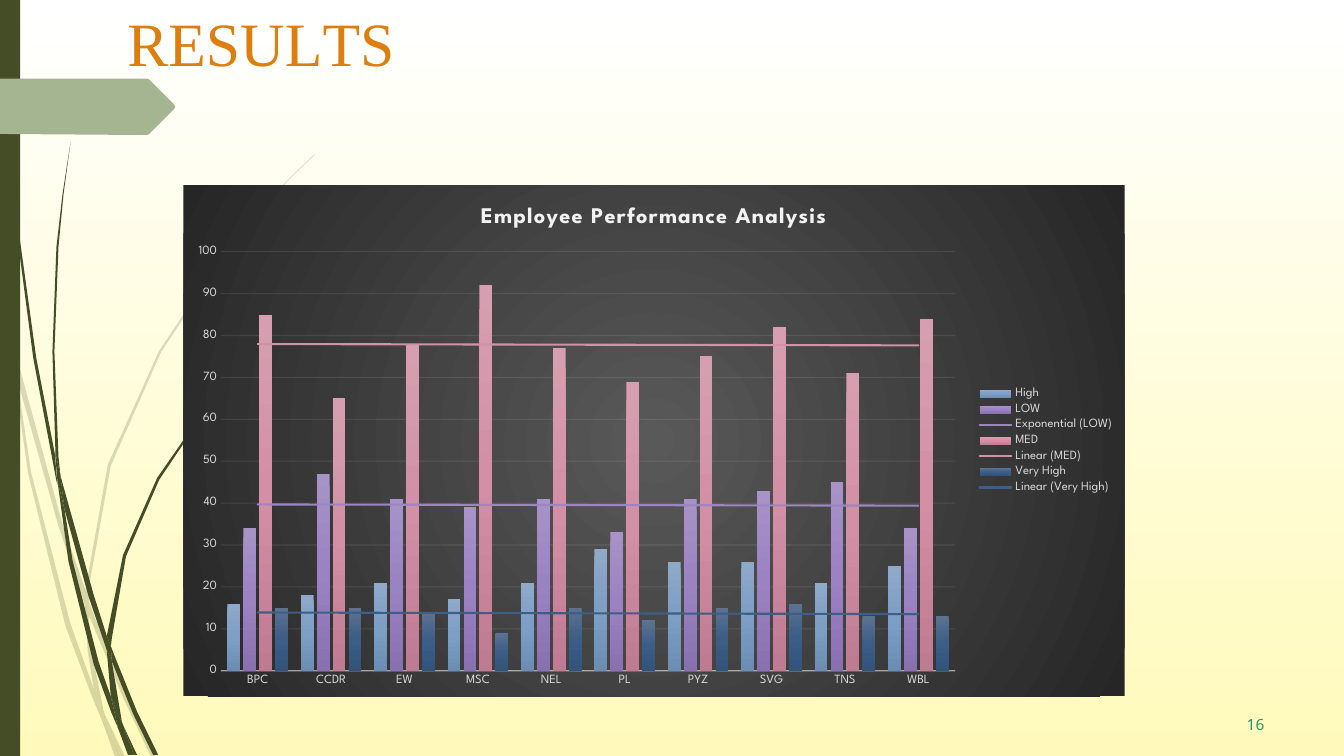
from lxml import etree
from pptx import Presentation
from pptx.chart.data import CategoryChartData
from pptx.dml.color import RGBColor
from pptx.enum.chart import XL_CHART_TYPE, XL_LEGEND_POSITION, XL_TICK_MARK
from pptx.enum.shapes import MSO_SHAPE
from pptx.enum.text import MSO_ANCHOR
from pptx.oxml import parse_xml
from pptx.oxml.ns import nsdecls, qn
from pptx.util import Cm, Pt

COLUMN_CLUSTERED = XL_CHART_TYPE.COLUMN_CLUSTERED
LEGEND_RIGHT = XL_LEGEND_POSITION.RIGHT
TICK_NONE = XL_TICK_MARK.NONE
RECTANGLE = MSO_SHAPE.RECTANGLE
TOP, BOTTOM = MSO_ANCHOR.TOP, MSO_ANCHOR.BOTTOM

WHITE = RGBColor(0xFF, 0xFF, 0xFF)
CREAM = RGBColor(0xFF, 0xFA, 0xBB)
OLIVE = RGBColor(0x44, 0x4D, 0x26)
SAGE = RGBColor(0xA5, 0xB5, 0x92)
ORANGE = RGBColor(0xDD, 0x7E, 0x0E)
TEAL = RGBColor(0x2D, 0x93, 0x6B)
OFF_WHITE = RGBColor(0xF2, 0xF2, 0xF2)
LIGHT_GRAY = RGBColor(0xD9, 0xD9, 0xD9)
CHART_CENTER = RGBColor(0x59, 0x59, 0x59)
CHART_EDGE = RGBColor(0x26, 0x26, 0x26)

CHART_FONT = "League Spartan"
OUTLINE_UNIT = Cm(0.0254)
LINEAR_DOWN = '<a:lin ang="5400000" scaled="0"/>'
FROM_CENTER = '<a:path path="circle"><a:fillToRect l="50000" t="50000" r="50000" b="50000"/></a:path>'

PALE_WISPS = [
    [(11, 350), (9, 322), (0, 282), (0, 299), (10, 344)],
    [(58, 522), (84, 599), (85, 586), (62, 520), (14, 345), (17, 376)],
    [(92, 607), (88, 596), (88, 610), (123, 694), (150, 751), (155, 751), (127, 692)],
    [(119, 751), (124, 751), (105, 711)],
    [(93, 683), (70, 619), (31, 469), (17, 376), (11, 350), (28, 470), (65, 621), (92, 693),
     (101, 714), (99, 707)],
    [(84, 599), (87, 646), (93, 683), (96, 692), (105, 711), (103, 706), (91, 646), (88, 610),
     (88, 608)],
    [(88, 584), (110, 462), (160, 349), (229, 245), (268, 198), (290, 175), (312, 154), (312, 153),
     (289, 175), (268, 197), (228, 244), (158, 348), (107, 461), (85, 584), (85, 586), (88, 596)],
    [(101, 714), (114, 751), (119, 751)],
    [(88, 608), (88, 610), (88, 596), (85, 586), (84, 599)],
    [(96, 692), (93, 683), (99, 707), (101, 714), (119, 751), (105, 711)],
]
DARK_WISPS = [
    [(7, 110), (17, 233), (33, 355), (56, 477), (57, 481), (55, 457), (55, 453), (36, 355),
     (19, 232), (8, 109), (5, 48), (4, 0), (3, 0), (4, 48)],
    [(88, 592), (106, 645), (106, 633), (106, 631), (93, 590), (60, 472), (64, 505)],
    [(113, 649), (110, 641), (111, 656), (132, 708), (152, 749), (157, 749), (136, 706)],
    [(110, 691), (98, 657), (72, 556), (64, 505), (57, 477), (68, 557), (93, 659), (111, 708),
     (117, 722), (116, 717)],
    [(60, 472), (58, 453), (54, 349), (58, 245), (63, 193), (70, 141), (62, 193), (56, 245),
     (52, 349), (55, 449)],
    [(133, 749), (136, 749), (122, 719)],
    [(57, 477), (64, 505), (60, 472), (55, 449), (55, 453)],
    [(111, 633), (125, 552), (158, 476), (205, 406), (231, 374), (245, 359), (261, 344), (260, 344),
     (245, 358), (231, 373), (204, 405), (156, 474), (122, 551), (106, 631), (110, 641)],
    [(117, 722), (127, 749), (131, 749)],
    [(106, 645), (110, 691), (116, 706), (122, 719), (121, 716), (111, 656), (109, 651)],
    [(106, 645), (109, 651), (111, 656), (110, 641), (106, 631), (106, 633)],
    [(116, 706), (110, 691), (116, 717), (117, 722), (130, 749), (133, 749), (122, 719)],
]
PAGE_ARROW = [(173, 30), (148, 55), (146, 56), (136, 56), (0, 55), (0, 0), (136, 0), (146, 0),
              (148, 1), (173, 26), (174, 28)]

CATEGORIES = ["BPC", "CCDR", "EW", "MSC", "NEL", "PL", "PYZ", "SVG", "TNS", "WBL"]
SERIES = [
    ("High", [16, 18, 21, 17, 21, 29, 26, 26, 21, 25], ("8FA9C9", "7D9EC5", "6B8CB3"), None),
    ("LOW", [34, 47, 41, 39, 41, 33, 41, 43, 45, 34], ("A793C7", "9B82C3", "8970B1"), ("exp", "9C85C0")),
    ("MED", [85, 65, 78, 92, 77, 69, 75, 82, 71, 84], ("D69FB1", "D38FA6", "BF7B92"), ("linear", "D092A7")),
    ("Very High", [15, 15, 14, 9, 15, 12, 15, 16, 13, 13], ("5D7291", "3B5D86", "32537A"), ("linear", "3F5E83")),
]


def set_opacity(element, percent):
    """Make every explicit colour below an element partly transparent."""
    for color in element.iter(qn("a:srgbClr")):
        etree.SubElement(color, qn("a:alpha")).set("val", str(percent * 1000))


def gradient_fill(colors, direction):
    """Return a gradient with evenly spaced colours."""
    step = 100000 // (len(colors) - 1)
    stops = "".join(f'<a:gs pos="{i * step}"><a:srgbClr val="{color}"/></a:gs>'
                    for i, color in enumerate(colors))
    return parse_xml(f'<a:gradFill {nsdecls("a")} rotWithShape="1"><a:gsLst>{stops}</a:gsLst>{direction}</a:gradFill>')


def trend_line(kind, color):
    """Return a trend line of the given kind and colour."""
    return parse_xml(
        f'<c:trendline {nsdecls("c", "a")}><c:spPr><a:ln w="19050" cap="rnd"><a:solidFill>'
        f'<a:srgbClr val="{color}"/></a:solidFill></a:ln></c:spPr><c:trendlineType val="{kind}"/>'
        '<c:dispRSqr val="0"/><c:dispEq val="0"/></c:trendline>')


def paint(shape, color):
    """Give a shape a plain fill without line or shadow."""
    shape.shadow.inherit = False
    shape.fill.solid()
    shape.fill.fore_color.rgb = color
    shape.line.fill.background()


def add_outline(shapes, points, left, top, color):
    """Draw a closed outline whose points are relative to left and top."""
    builder = shapes.build_freeform(*points[0], scale=OUTLINE_UNIT)
    builder.add_line_segments(points[1:], close=True)
    shape = builder.convert_to_shape(left, top)
    paint(shape, color)
    return shape


def format_font(font, size, color, name=CHART_FONT, bold=False):
    """Set the look of a font."""
    font.size, font.name, font.bold = Pt(size), name, bold
    font.color.rgb = color


def add_text(slide, box, runs, size, color, name, anchor=TOP, indent=0, before=0):
    """Place one paragraph made of (text, letter spacing) runs."""
    frame = slide.shapes.add_textbox(*box).text_frame
    frame.word_wrap = True
    frame.vertical_anchor = anchor
    frame.margin_left = frame.margin_right = frame.margin_bottom = 0
    frame.margin_top = Cm(0.03)
    paragraph = frame.paragraphs[0]
    paragraph.space_before = Pt(before)
    paragraph._p.get_or_add_pPr().set("marL", str(Cm(indent)))
    for text, spacing in runs:
        run = paragraph.add_run()
        run.text = text
        format_font(run.font, size, color, name)
        run._r.get_or_add_rPr().set("spc", str(round(spacing * 100)))


def add_side_decoration(slide, left, top, width, height):
    """Draw the wisps, the side bar and the page arrow at the left edge."""
    for wisps, opacity in ((PALE_WISPS, 20), (DARK_WISPS, 100)):
        group = slide.shapes.add_group_shape()
        for points in wisps:
            wisp = add_outline(group.shapes, points, left, top, OLIVE)
            if opacity < 100:
                set_opacity(wisp._element, opacity)
    paint(slide.shapes.add_shape(RECTANGLE, left, top, width, height), OLIVE)
    add_outline(slide.shapes, PAGE_ARROW, left, top + Cm(1.98), SAGE)


def style_axes(chart):
    """Format both axes and the gridlines."""
    category_axis, value_axis = chart.category_axis, chart.value_axis
    for axis in (category_axis, value_axis):
        axis.major_tick_mark = axis.minor_tick_mark = TICK_NONE
        format_font(axis.tick_labels.font, 9, LIGHT_GRAY)
    value_axis.minimum_scale, value_axis.maximum_scale, value_axis.major_unit = 0, 100, 10
    value_axis.format.line.fill.background()
    for line, width in ((category_axis.format.line, 1), (value_axis.major_gridlines.format.line, 0.75)):
        line.width = Pt(width)
        line.color.rgb = OFF_WHITE
    set_opacity(category_axis._element.find(qn("c:spPr")), 54)
    set_opacity(value_axis._element.find(qn("c:majorGridlines")), 10)


def add_performance_chart(slide, left, top, width, height):
    """Place the column chart with its trend lines."""
    data = CategoryChartData()
    data.categories = CATEGORIES
    for name, values, _, _ in SERIES:
        data.add_series(name, values)
    chart = slide.shapes.add_chart(COLUMN_CLUSTERED, left, top, width, height, data).chart
    format_font(chart.font, 10, LIGHT_GRAY)
    plot = chart.plots[0]
    plot.gap_width, plot.overlap, plot.vary_by_categories = 100, -24, False
    for series, (_, _, colors, trend) in zip(plot.series, SERIES):
        series._element.get_or_add_spPr().insert(0, gradient_fill(colors, LINEAR_DOWN))
        if trend:
            series._element.find(qn("c:cat")).addprevious(trend_line(*trend))
    style_axes(chart)
    chart.has_title = True
    run = chart.chart_title.text_frame.paragraphs[0].add_run()
    run.text = "Employee Performance Analysis"
    format_font(run.font, 16, OFF_WHITE, bold=True)
    run._r.get_or_add_rPr().set("spc", "100")
    chart.has_legend = True
    chart.legend.position = LEGEND_RIGHT
    chart.legend.include_in_layout = False
    format_font(chart.legend.font, 9, LIGHT_GRAY)
    chart_element = chart._chartSpace.find(qn("c:chart"))
    area = parse_xml(f'<c:spPr {nsdecls("c", "a")}><a:ln><a:noFill/></a:ln></c:spPr>')
    area.insert(0, gradient_fill((CHART_CENTER, CHART_EDGE), FROM_CENTER))
    chart_element.addnext(area)
    plot_area = chart_element.find(qn("c:plotArea"))
    for layout in plot_area.findall(qn("c:layout")):
        plot_area.remove(layout)
    sizes = "".join(f'<c:{key} val="{value}"/>' for key, value in
                    (("x", 0.04), ("y", 0.13), ("w", 0.78), ("h", 0.82)))
    plot_area.insert(0, parse_xml(
        f'<c:layout {nsdecls("c")}><c:manualLayout><c:layoutTarget val="inner"/>'
        f'<c:xMode val="edge"/><c:yMode val="edge"/>{sizes}</c:manualLayout></c:layout>'))


def main():
    """Build the results slide and save it."""
    presentation = Presentation()
    presentation.slide_width, presentation.slide_height = Cm(33.87), Cm(19.05)
    slide = presentation.slides.add_slide(presentation.slide_layouts[6])
    background = slide.background.fill
    background.gradient()
    background.gradient_angle = 270
    for stop, color in zip(background.gradient_stops, (WHITE, CREAM)):
        stop.color.rgb = color
    add_side_decoration(slide, 0, 0, Cm(0.51), presentation.slide_height)
    add_text(slide, (Cm(3.18), Cm(0.05), Cm(8.05), Cm(1.93)), [("RESU", 0), ("L", -4), ("TS", 0)],
             44, ORANGE, "Times New Roman", anchor=BOTTOM, indent=0.03, before=1.1)
    add_text(slide, (Cm(31.32), Cm(17.98), Cm(0.64), Cm(0.53)), [("16", 0.1)],
             11, TEAL, "Noto Sans", indent=0.1, before=0.6)
    add_performance_chart(slide, Cm(4.62), Cm(4.67), Cm(23.72), Cm(12.88))
    presentation.save("out.pptx")


if __name__ == "__main__":
    main()
